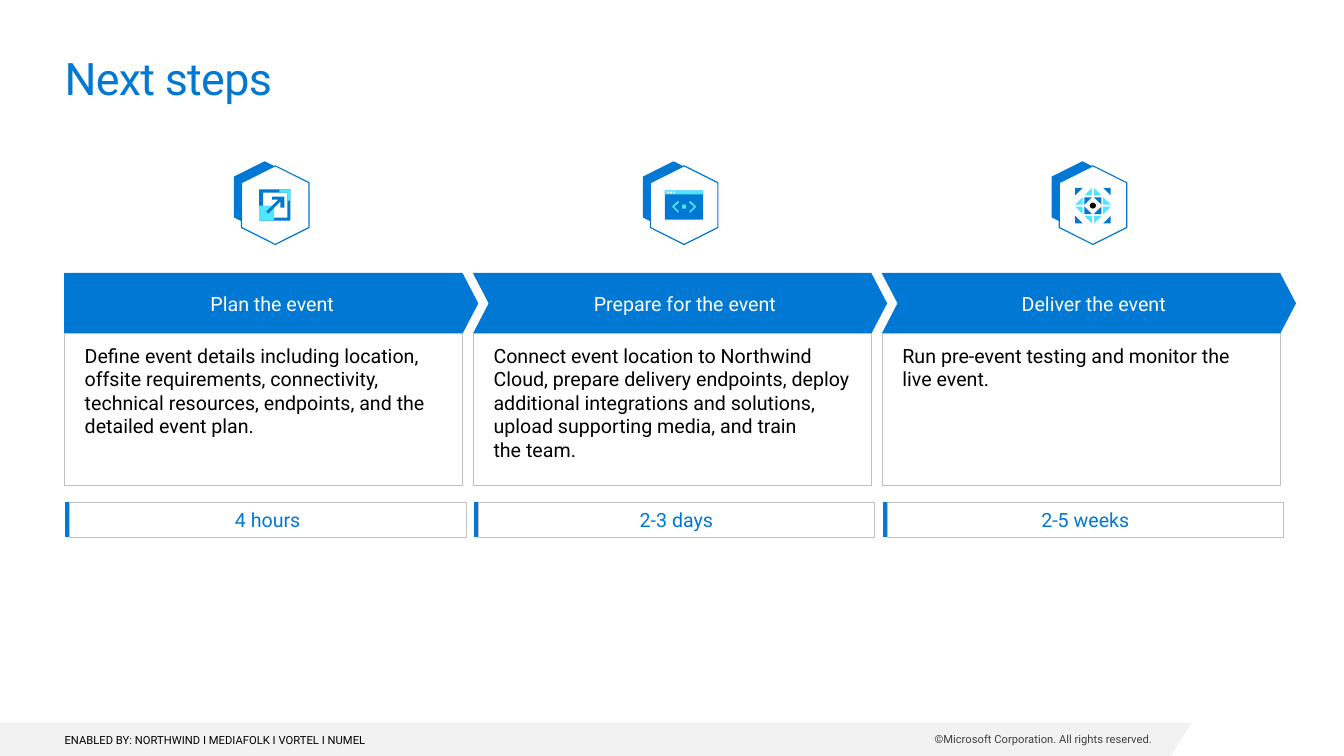
from itertools import product

from lxml.etree import SubElement
from pptx import Presentation
from pptx.dml.color import RGBColor
from pptx.enum.shapes import MSO_CONNECTOR as CONN, MSO_SHAPE as SHAPE
from pptx.enum.text import MSO_ANCHOR as ANCHOR, MSO_AUTO_SIZE as AUTO, PP_ALIGN as ALIGN
from pptx.oxml.ns import qn
from pptx.util import Inches, Pt

W, H = 13.33, 7.5
MARGIN = 0.64
PITCH = (8.75 - MARGIN) / 2
BLUE, CYAN, WHITE, BLACK, GREY = "0078D4", "50E6FF", "FFFFFF", "000000", "BFBFBF"
FONT = "Roboto"


def rgb(value):
    return RGBColor.from_string(value)


def paint(sp, fill=None, line=None, width=0.5):
    sp.shadow.inherit = False
    if fill:
        sp.fill.solid()
        sp.fill.fore_color.rgb = rgb(fill)
    else:
        sp.fill.background()
    if line:
        sp.line.color.rgb = rgb(line)
        sp.line.width = Pt(width)
    else:
        sp.line.fill.background()
    return sp


def shape(parent, kind, box, **look):
    return paint(parent.shapes.add_shape(kind, *map(Inches, box)), **look)


def outline(parent, contours, fill):
    scaled = [[(x * 1000, y * 1000) for x, y in points] for points in contours]
    fb = parent.shapes.build_freeform(*scaled[0][0], scale=Inches(1) / 1000)
    for i, points in enumerate(scaled):
        if i:
            fb.move_to(*points[0])
        fb.add_line_segments(points[1:], close=True)
    return paint(fb.convert_to_shape(), fill)


def write(sp, text, size=14, color=BLACK, align=ALIGN.LEFT, anchor=ANCHOR.TOP,
          insets=(0, 0, 0, 0), after=0, spacing=None):
    tf = sp.text_frame
    tf.word_wrap = True
    tf.auto_size = AUTO.NONE
    tf.vertical_anchor = anchor
    tf.margin_left, tf.margin_top, tf.margin_right, tf.margin_bottom = map(Inches, insets)
    p = tf.paragraphs[0]
    p.text = text
    p.alignment = align
    p.space_after = Pt(after)
    for r in p.runs:
        r.font.name, r.font.size = FONT, Pt(size)
        r.font.color.rgb = rgb(color)
        if spacing:
            r.font._element.set("spc", str(int(spacing * 100)))


def footer(s, top):
    outline(s, [[(0, top), (11.82, top), (11.61, H), (0, H)]], "F2F2F2")
    owner = s.shapes.add_textbox(*map(Inches, (7.55, top + 0.1, 3.88, 0.13)))
    write(owner, "©Microsoft Corporation. All rights reserved.", 8, "404040", ALIGN.RIGHT)
    partners = s.shapes.add_textbox(*map(Inches, (MARGIN, top + 0.11, 3.91, 0.13)))
    write(partners, "ENABLED BY: NORTHWIND I MEDIAFOLK I VORTEL I NUMEL", 8)


def title(s, text, box):
    sp = s.shapes.title
    sp.left, sp.top, sp.width, sp.height = map(Inches, box)
    write(sp, text, 32, BLUE, spacing=-0.5)


def rect_points(x, y, w, h):
    return [(x, y), (x + w, y), (x + w, y + h), (x, y + h)]


def expand_icon(g, cx, cy):
    def at(*points):
        return [(cx + x, cy + y) for x, y in points]

    outline(g, [rect_points(cx - 0.16, cy - 0.16, 0.31, 0.31),
                rect_points(cx - 0.12, cy - 0.13, 0.24, 0.25)], BLUE)
    shape(g, SHAPE.RECTANGLE, (cx - 0.16, cy, 0.15, 0.15), fill=CYAN)
    outline(g, [at((0.04, -0.16), (0.04, -0.13), (0.12, -0.13), (0.12, -0.05),
                   (0.15, -0.05), (0.15, -0.16))], CYAN)
    outline(g, [at((0.09, -0.09), (-0.03, -0.09), (-0.03, -0.06), (0.03, -0.06),
                   (-0.09, 0.06), (-0.07, 0.08), (0.05, -0.04), (0.05, 0.02),
                   (0.09, 0.02))], BLUE)


def code_icon(g, cx, cy):
    shape(g, SHAPE.RECTANGLE, (cx - 0.19, cy - 0.15, 0.38, 0.29), fill=BLUE)
    shape(g, SHAPE.RECTANGLE, (cx - 0.19, cy - 0.15, 0.38, 0.04), fill=CYAN)
    for i in range(3):
        shape(g, SHAPE.OVAL, (cx - 0.17 + 0.03 * i, cy - 0.14, 0.02, 0.02), fill=WHITE)
    shape(g, SHAPE.RECTANGLE, (cx - 0.02, cy - 0.01, 0.04, 0.04), fill=CYAN)
    bracket = [(0.06, -0.05), (0.05, -0.03), (0.1, 0.01), (0.05, 0.06), (0.06, 0.07), (0.12, 0.01)]
    for side in (1, -1):
        outline(g, [[(cx + side * x, cy + y) for x, y in bracket]], CYAN)


def mosaic_icon(g, cx, cy):
    half, gap = 0.037, 0.093
    for row, col in product(range(4), repeat=2):
        x, y = cx + (col - 1.5) * gap, cy + (row - 1.5) * gap
        outward = (row in (0, 3)) == (col in (0, 3))
        turn = half if outward else -half
        dx = turn if col > 1 else -turn
        dy = turn if row > 1 else -turn
        outline(g, [[(x + dx, y + dy), (x - dx, y + dy), (x + dx, y - dy)]],
                BLUE if outward else CYAN)
    shape(g, SHAPE.OVAL, (cx - 0.03, cy - 0.03, 0.06, 0.06), fill=BLACK)


def badge(s, x, y, icon):
    g = s.shapes.add_group_shape()
    back = shape(g, SHAPE.HEXAGON, (x, y, 0.71, 0.61), fill=BLUE)
    front = shape(g, SHAPE.HEXAGON, (x + 0.07, y + 0.05, 0.78, 0.67),
                  fill=WHITE, line=BLUE, width=0.85)
    back.rotation = front.rotation = 90
    icon(g, x + 0.46, y + 0.39)


def step(s, x, y, kind, heading, details, duration, icon):
    badge(s, x + 1.63, y, icon)

    head = shape(s, kind, (x, y + 1.06, 4.1, 0.6), fill=BLUE, line=BLUE)
    head.adjustments[0] = 0.26
    write(head, heading, color=WHITE, align=ALIGN.CENTER, anchor=ANCHOR.MIDDLE,
          insets=(0.1, 0.05, 0, 0.05))

    body = shape(s, SHAPE.RECTANGLE, (x, y + 1.66, 3.95, 1.51), line=GREY)
    write(body, details, insets=(0.2, 0.1, 0.1, 0.05), after=4)

    top, height = y + 3.33, 0.35
    bar = s.shapes.add_connector(
        CONN.STRAIGHT, *map(Inches, (x + 0.03, top, x + 0.03, top + height)))
    bar.line.color.rgb = rgb(BLUE)
    bar.line.width = Pt(3)
    SubElement(bar._element.spPr, qn("a:effectLst"))
    time = shape(s, SHAPE.RECTANGLE, (x + 0.05, top, 3.93, height),
                 fill=WHITE, line=GREY, width=0.25)
    write(time, duration, color=BLUE, align=ALIGN.CENTER, anchor=ANCHOR.MIDDLE,
          insets=(0.1, 0.05, 0.1, 0.05))


STEPS = [
    (SHAPE.PENTAGON, "Plan the event",
     "Define event details including location, offsite requirements, connectivity, "
     "technical resources, endpoints, and the detailed event plan.",
     "4 hours", expand_icon),
    (SHAPE.CHEVRON, "Prepare for the event",
     "Connect event location to Northwind Cloud, prepare delivery endpoints, deploy "
     "additional integrations and solutions, upload supporting media, and train\vthe team.",
     "2-3 days", code_icon),
    (SHAPE.CHEVRON, "Deliver the event",
     "Run pre-event testing and monitor the\vlive event.",
     "2-5 weeks", mosaic_icon),
]


def main():
    prs = Presentation()
    prs.slide_width, prs.slide_height = Inches(W), Inches(H)
    s = prs.slides.add_slide(prs.slide_layouts[5])
    footer(s, 7.17)
    title(s, "Next steps", (MARGIN, 0.5, 12.05, 0.54))
    for i, content in enumerate(STEPS):
        step(s, MARGIN + i * PITCH, 1.65, *content)
    prs.save("out.pptx")


if __name__ == "__main__":
    main()
